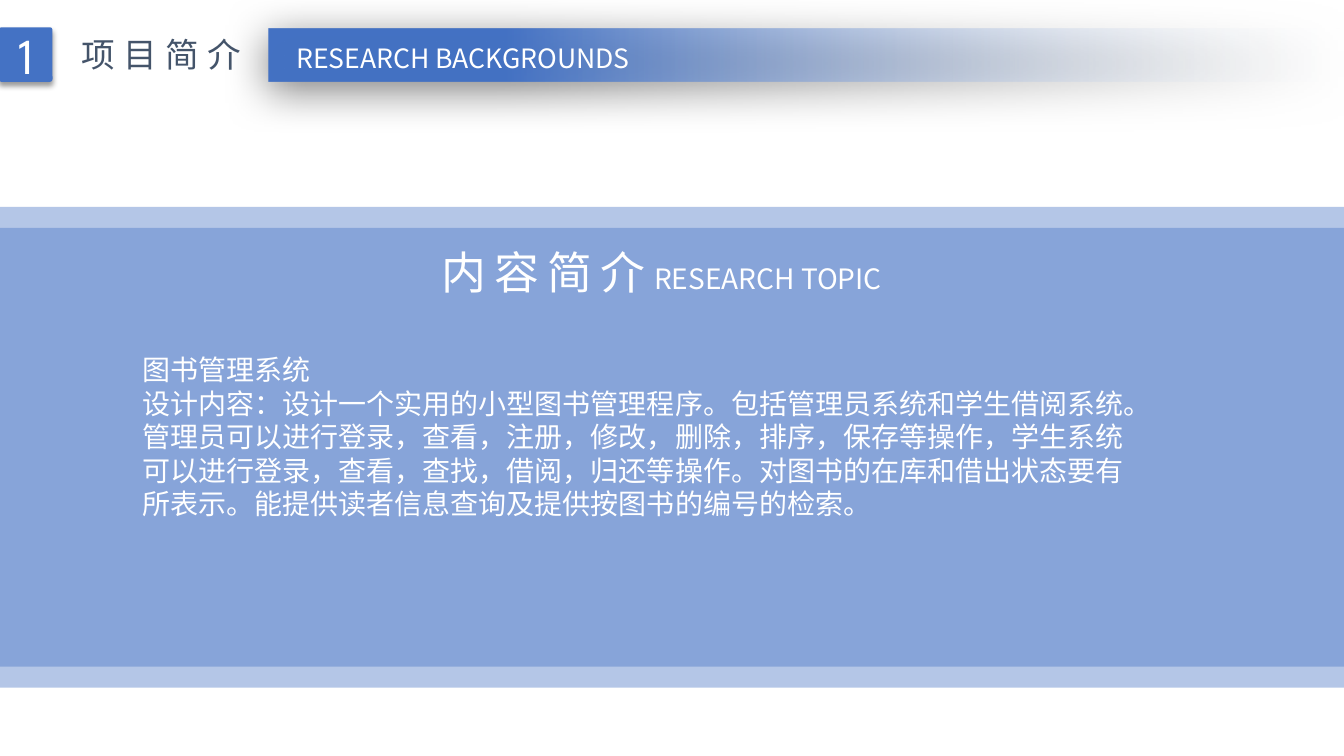
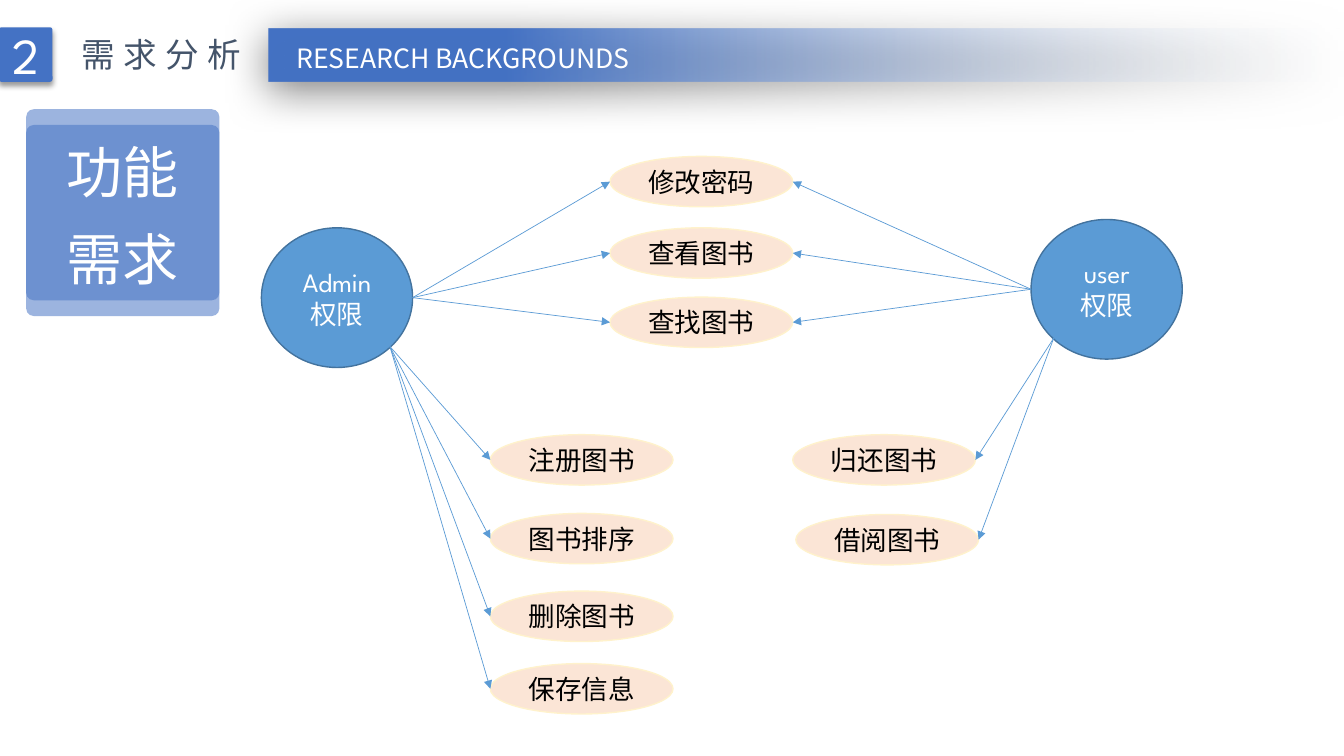
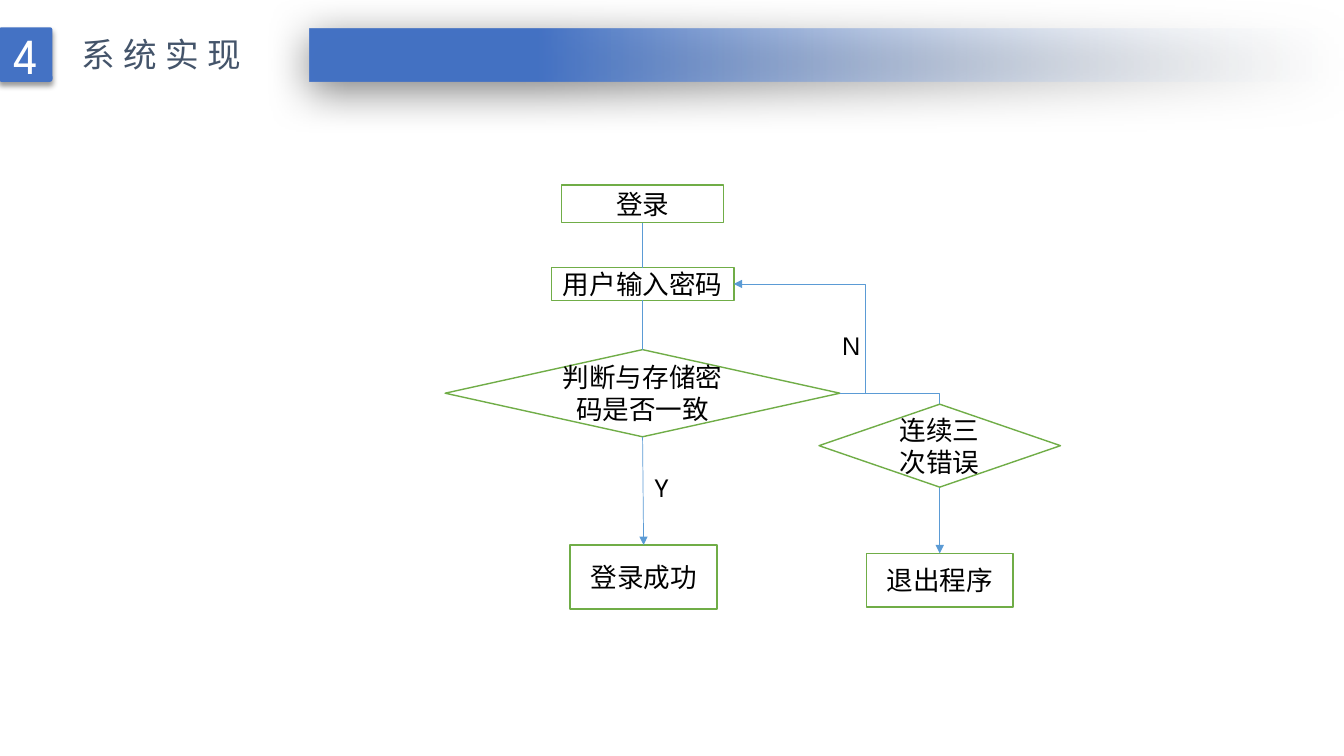
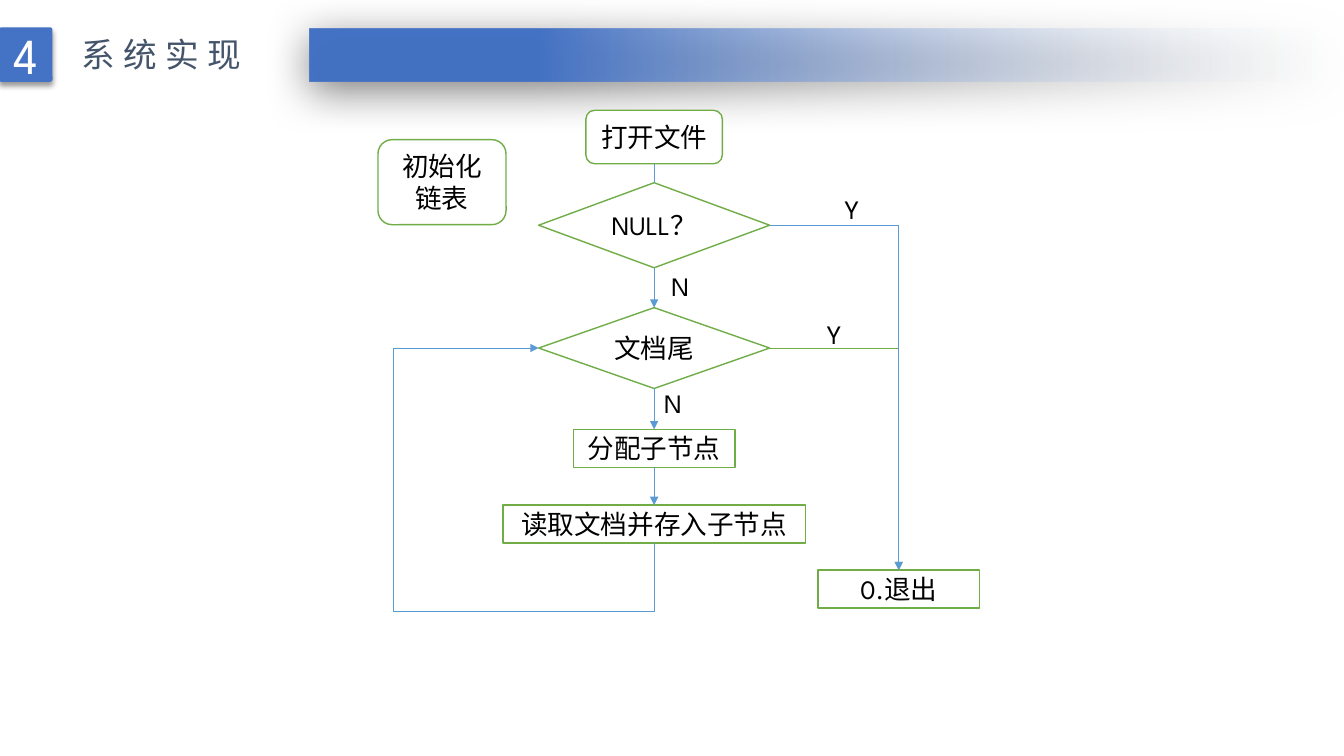
from lxml.etree import SubElement
from pptx import Presentation
from pptx.dml.color import RGBColor
from pptx.enum.shapes import MSO_CONNECTOR as LINK, MSO_SHAPE as SHAPE
from pptx.enum.text import MSO_ANCHOR as ANCHOR, MSO_AUTO_SIZE as FIT, PP_ALIGN as ALIGN
from pptx.oxml import parse_xml
from pptx.oxml.ns import nsdecls, qn
from pptx.util import Emu, Pt

PX = 9525
SANS = "Noto Sans CJK SC"
SPARTAN = "League Spartan"
BLUE, SKY, SKY_EDGE, GREEN = "4472C4", "5B9BD5", "43739E", "70AD47"
PEACH, CREAM, SLATE = "FBE5D6", "FFF2CC", "44546A"
WHITE, BLACK = "FFFFFF", "000000"

NODE_TEXT = {"size": Pt(19), "name": SPARTAN, "color": BLACK}
ACTOR_TEXT = NODE_TEXT | {"color": WHITE}
BADGE_TEXT = {"size": Pt(36), "name": SPARTAN, "color": WHITE}
TITLE_TEXT = {"size": Pt(24), "name": SANS, "color": SLATE, "spacing": 600}
CAPTION_TEXT = {"size": Pt(19), "name": SANS, "color": WHITE}
BODY_TEXT = {"size": Pt(20), "name": SANS, "color": WHITE}
HEADING_TEXT = {"size": Pt(32), "name": SANS, "color": WHITE, "spacing": 600}
TILE_TEXT = {"size": Pt(40), "name": SANS, "color": WHITE}

RIGHT, LEFT, TOP, BOTTOM = (1, 0.5), (0, 0.5), (0.5, 0), (0.5, 1)
LOWER_RIGHT, LOWER_LEFT = (0.85, 0.85), (0.15, 0.85)


def px(*lengths):
    return [Emu(length * PX) for length in lengths]


def rgb(color):
    return RGBColor.from_string(color)


def add_span(para, text, style):
    span = para.add_run()
    span.text = text
    for key, value in style.items():
        if key == "color":
            span.font.color.rgb = rgb(value)
        elif key == "spacing":
            span.font._element.set("spc", str(value))
        else:
            setattr(span.font, key, value)
    SubElement(span.font._element, qn("a:ea"), typeface=SANS)


def write(frame, lines, style, **para_format):
    for index, line in enumerate(lines):
        para = frame.paragraphs[0] if index == 0 else frame.add_paragraph()
        for key, value in para_format.items():
            setattr(para, key, value)
        spans = [(line, style)] if isinstance(line, str) else line
        for text, span_style in spans:
            add_span(para, text, span_style)


def add_text(page, at, lines, style, wrap=False, align=ALIGN.LEFT):
    box = page.shapes.add_textbox(*px(*at))
    box.text_frame.word_wrap = wrap
    box.text_frame.auto_size = FIT.SHAPE_TO_FIT_TEXT
    write(box.text_frame, lines, style, alignment=align)


def add_box(page, kind, at, fill, edge=None, lines=(), style=NODE_TEXT,
            alpha=None, corner=None, **para_format):
    box = page.shapes.add_shape(kind, *px(*at))
    box.shadow.inherit = False
    box.fill.solid()
    box.fill.fore_color.rgb = rgb(fill)
    if alpha is not None:
        color = box._element.spPr.find(qn("a:solidFill"))[0]
        SubElement(color, qn("a:alpha"), val=str(alpha * 1000))
    if edge:
        box.line.color.rgb = rgb(edge)
        box.line.width = Pt(1)
    else:
        box.line.fill.background()
    if corner is not None:
        box.adjustments[0] = corner
    box.text_frame.word_wrap = True
    box.text_frame.vertical_anchor = ANCHOR.MIDDLE
    write(box.text_frame, lines, style, alignment=ALIGN.CENTER, **para_format)
    return box


def add_shadow(box, alpha, blur, distance, angle):
    effects = box._element.spPr.find(qn("a:effectLst"))
    shadow = SubElement(effects, qn("a:outerShdw"), blurRad=str(Pt(blur)),
                        dist=str(Pt(distance)), dir=str(angle * 60000),
                        algn="t", rotWithShape="0")
    color = SubElement(shadow, qn("a:srgbClr"), val=BLACK)
    SubElement(color, qn("a:alpha"), val=str(alpha * 1000))


def fade_fill(box):
    solid = box._element.spPr.find(qn("a:solidFill"))
    solid.getparent().replace(solid, parse_xml(
        f'<a:gradFill {nsdecls("a")} rotWithShape="1"><a:gsLst>'
        '<a:gs pos="0"><a:srgbClr val="F7FAFD"><a:alpha val="0"/></a:srgbClr></a:gs>'
        f'<a:gs pos="78000"><a:srgbClr val="{BLUE}"/></a:gs>'
        '</a:gsLst><a:lin ang="10800000" scaled="0"/></a:gradFill>'))


def port(box, place):
    across, down = place
    return int(box.left + box.width * across), int(box.top + box.height * down)


def add_link(page, start, end, arrow=True, color=SKY, kind=LINK.STRAIGHT):
    link = page.shapes.add_connector(kind, *start, *end)
    link.line.color.rgb = rgb(color)
    link.line.width = Pt(0.5)
    if arrow:
        SubElement(link.line._get_or_add_ln(), qn("a:tailEnd"), type="triangle")
    SubElement(link._element.spPr, qn("a:effectLst"))
    return link


def quarter_turn(point, center):
    return (center[0] - (point[1] - center[1]), center[1] + point[0] - center[0])


def add_elbow(page, start, end, preset, adjusts=(), turned=False, color=SKY):
    if turned:
        center = [(a + b) // 2 for a, b in zip(start, end)]
        start, end = (quarter_turn(point, center) for point in (start, end))
    link = add_link(page, start, end, color=color, kind=LINK.ELBOW)
    properties = link._element.spPr
    if turned:
        properties.find(qn("a:xfrm")).set("rot", "16200000")
    geometry = properties.find(qn("a:prstGeom"))
    geometry.set("prst", preset)
    guides = geometry.find(qn("a:avLst"))
    for number, share in enumerate(adjusts, 1):
        SubElement(guides, qn("a:gd"), name=f"adj{number}", fmla=f"val {round(share * 100000)}")


def add_header(page, number, title, band_left, caption=None):
    band = add_box(page, SHAPE.RECTANGLE, (band_left, 27, 1280 - band_left, 51), BLUE)
    fade_fill(band)
    add_shadow(band, 50, 31, 6, 97)
    badge = add_box(page, SHAPE.ROUNDED_RECTANGLE, (-1, 26, 51, 52), BLUE,
                    lines=[number], style=BADGE_TEXT, corner=0.05)
    add_shadow(badge, 40, 4, 3, 90)
    add_text(page, (68, 28, 180, 48), [title], TITLE_TEXT)
    if caption:
        add_text(page, (264, 35, 354, 40), [caption], CAPTION_TEXT, align=ALIGN.CENTER)


def add_step(page, at, text, kind=SHAPE.RECTANGLE):
    return add_box(page, kind, at, WHITE, GREEN, [text])


def add_label(page, left, top, text):
    add_text(page, (left, top, 38, 40), [text], NODE_TEXT)


def build_intro(page):
    for left, top in ((0, 217), (-1, 197)):
        add_box(page, SHAPE.RECTANGLE, (left, top, 1281, 438), BLUE, alpha=40)
    add_header(page, "1", "项目简介", 256, "RESEARCH BACKGROUNDS")
    heading = [("内容简介", HEADING_TEXT), ("RESEARCH TOPIC", BODY_TEXT)]
    add_text(page, (166, 228, 928, 61), [heading], HEADING_TEXT, True, ALIGN.CENTER)
    add_text(page, (126, 331, 978, 171), [
        "图书管理系统",
        "设计内容：设计一个实用的小型图书管理程序。包括管理员系统和学生借阅系统。"
        "管理员可以进行登录，查看，注册，修改，删除，排序，保存等操作，"
        "学生系统可以进行登录，查看，查找，借阅，归还等操作。"
        "对图书的在库和借出状态要有所表示。能提供读者信息查询及提供按图书的编号的检索。",
    ], BODY_TEXT, True)


def add_actor(page, left, top, name):
    return add_box(page, SHAPE.OVAL, (left, top, 144, 133), SKY, SKY_EDGE,
                   [name, "权限"], ACTOR_TEXT)


def add_actions(page, actions):
    return [add_box(page, SHAPE.OVAL, (left, top, 174, 48), PEACH, CREAM, [text])
            for left, top, text in actions]


def add_fan(page, actor, place, actions, side):
    for action in actions:
        add_link(page, port(actor, place), port(action, side))


def build_needs(page):
    for top, lines in ((119, []), (104, ["功能 需求"])):
        add_box(page, SHAPE.ROUNDED_RECTANGLE, (25, top, 184, 182), BLUE, lines=lines,
                style=TILE_TEXT, alpha=53, corner=0.04, line_spacing=1.3)
    add_header(page, "2", "需求分析", 256, "RESEARCH BACKGROUNDS")
    admin = add_actor(page, 249, 217, "Admin")
    user = add_actor(page, 982, 209, "user")
    shared = add_actions(page, [(581, 149, "修改密码"), (581, 217, "查看图书"),
                                (581, 283, "查找图书")])
    admin_only = add_actions(page, [(467, 414, "注册图书"), (467, 489, "图书排序"),
                                    (467, 563, "删除图书"), (467, 632, "保存信息")])
    user_only = add_actions(page, [(755, 414, "归还图书"), (758, 490, "借阅图书")])
    add_fan(page, admin, RIGHT, shared, LEFT)
    add_fan(page, admin, LOWER_RIGHT, admin_only, LEFT)
    add_fan(page, user, LEFT, shared, RIGHT)
    add_fan(page, user, LOWER_LEFT, user_only, RIGHT)


def build_login(page):
    add_header(page, "4", "系统实现", 295)
    login = add_step(page, (535, 176, 154, 36), "登录")
    entry = add_step(page, (525, 255, 174, 31), "用户输入密码")
    check = add_step(page, (424, 333, 376, 83), "判断与存储密码是否一致", SHAPE.FLOWCHART_DECISION)
    success = add_step(page, (543, 519, 140, 61), "登录成功")
    leave = add_step(page, (825, 527, 140, 51), "退出程序")
    for upper, lower, arrow in ((login, entry, False), (entry, check, False),
                                (check, success, True)):
        add_link(page, port(upper, BOTTOM), port(lower, TOP), arrow)
    add_elbow(page, port(check, RIGHT), port(entry, RIGHT), "bentConnector3", [-0.24])
    add_elbow(page, port(check, RIGHT), port(leave, TOP), "bentConnector2")
    add_label(page, 793, 309, "N")
    add_label(page, 614, 444, "Y")
    add_step(page, (780, 385, 230, 79), "连续三次错误", SHAPE.FLOWCHART_DECISION)


def build_loading(page):
    add_header(page, "4", "系统实现", 295)
    opening = add_step(page, (558, 105, 130, 51), "打开文件", SHAPE.ROUNDED_RECTANGLE)
    leave = add_step(page, (779, 543, 154, 36), "0.退出")
    reading = add_step(page, (479, 481, 288, 36), "读取文档并存入子节点")
    allocation = add_step(page, (546, 409, 154, 36), "分配子节点")
    file_end = add_step(page, (513, 293, 220, 77), "文档尾", SHAPE.FLOWCHART_DECISION)
    add_step(page, (360, 133, 122, 81), "初始化链表", SHAPE.ROUNDED_RECTANGLE)
    empty = add_step(page, (513, 174, 220, 81), "NULL？", SHAPE.FLOWCHART_DECISION)
    add_elbow(page, port(file_end, RIGHT), port(leave, TOP), "bentConnector2", color=GREEN)
    for upper, lower, arrow in ((opening, empty, False), (empty, file_end, True),
                                (file_end, allocation, True), (allocation, reading, True)):
        add_link(page, port(upper, BOTTOM), port(lower, TOP), arrow)
    add_elbow(page, port(reading, BOTTOM), port(file_end, LEFT), "bentConnector4",
              [-0.35, 2.26], turned=True)
    add_elbow(page, port(empty, RIGHT), port(leave, TOP), "bentConnector2")
    for left, top, text in ((795, 179, "Y"), (778, 298, "Y"), (630, 252, "N"), (623, 364, "N")):
        add_label(page, left, top, text)


def main():
    deck = Presentation()
    deck.slide_width, deck.slide_height = px(1280, 720)
    for build in (build_intro, build_needs, build_login, build_loading):
        build(deck.slides.add_slide(deck.slide_layouts[6]))
    deck.save("out.pptx")


if __name__ == "__main__":
    main()
